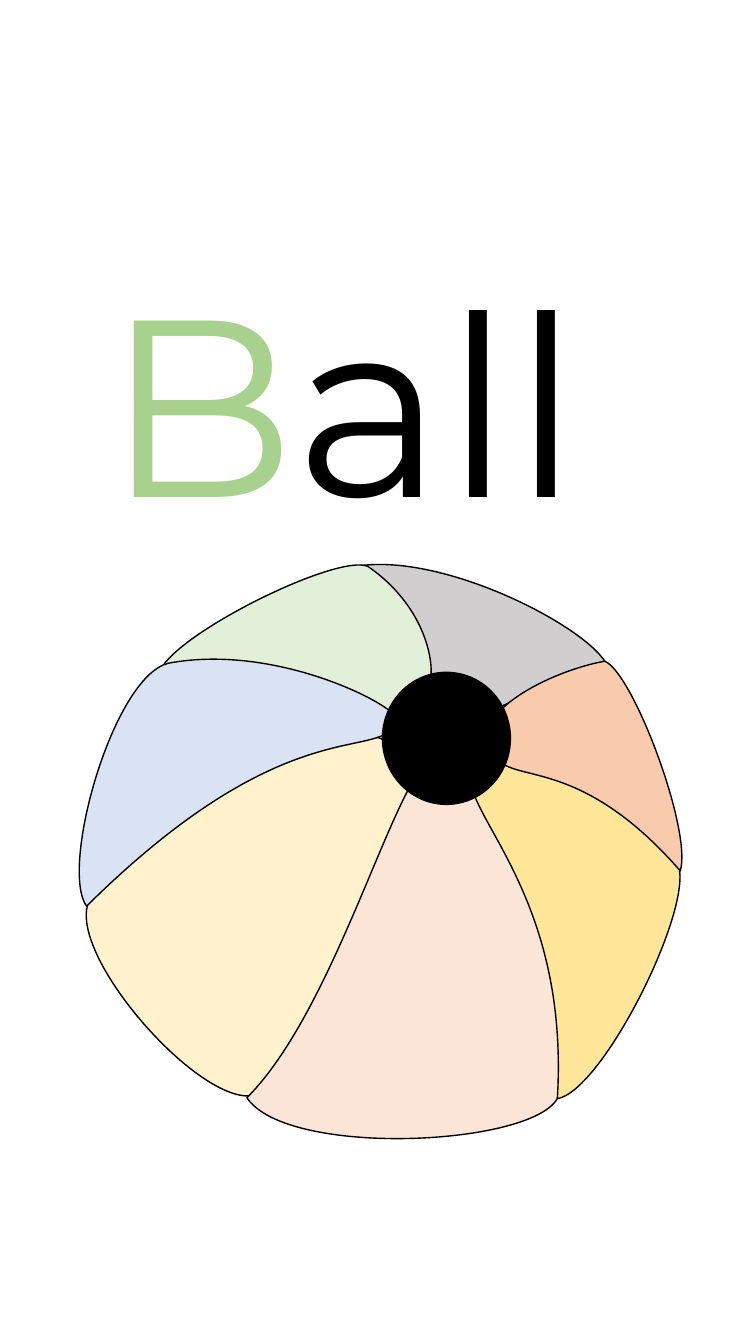
from dataclasses import dataclass

from lxml.etree import SubElement
from pptx import Presentation
from pptx.dml.color import RGBColor
from pptx.enum.shapes import MSO_SHAPE
from pptx.enum.text import MSO_ANCHOR, MSO_AUTO_SIZE, PP_ALIGN
from pptx.oxml.ns import qn
from pptx.util import Cm, Pt


@dataclass(frozen=True)
class Theme:
    font: str = "Montserrat"
    word_size: int = 180
    initial: str = "A9D18E"
    ink: str = "000000"
    outline: float = 1
    gray: str = "D0CECE"
    cream: str = "FFF2CC"
    pink: str = "FBE5D6"
    yellow: str = "FFE699"
    orange: str = "F8CBAD"
    green: str = "E2F0D9"
    blue: str = "DAE3F3"


THEME = Theme()
BALL_UNITS = 600  # the ball's box is this many units wide
CURVE_STEPS = 32  # samples per curve when measuring a panel

# Panels from back to front: fill, start point, then the cubic curves
# (two control points and an end point each), in ball units
PANELS = [
    (THEME.gray, (523, 101), [
        [(506, 63), (359, -13), (273, 2)],
        [(354, 51), (329, 145), (377, 128)],
        [(417, 171), (425, 114), (523, 101)]]),
    (THEME.cream, (8, 335), [
        [(-14, 390), (128, 548), (177, 525)],
        [(219, 482), (387, 200), (308, 194)],
        [(320, 109), (29, 279), (8, 335)]]),
    (THEME.pink, (165, 529), [
        [(205, 589), (452, 577), (474, 528)],
        [(506, 426), (410, 177), (365, 201)],
        [(329, 134), (268, 426), (165, 529)]]),
    (THEME.yellow, (473, 530), [
        [(518, 522), (608, 342), (593, 298)],
        [(536, 234), (408, 157), (398, 193)],
        [(348, 229), (487, 301), (473, 530)]]),
    (THEME.orange, (595, 304), [
        [(607, 264), (548, 107), (520, 96)],
        [(465, 106), (393, 146), (408, 173)],
        [(409, 231), (479, 171), (595, 304)]]),
    (THEME.green, (79, 105), [
        [(97, 67), (255, -11), (285, 2)],
        [(354, 49), (361, 131), (331, 140)],
        [(289, 181), (274, 72), (79, 105)]]),
    (THEME.blue, (6, 339), [
        [(-21, 301), (32, 112), (87, 98)],
        [(198, 77), (320, 144), (313, 154)],
        [(301, 199), (211, 136), (6, 339)]]),
]
HUB = (299.5, 107, 127, 131)  # left, top, width, height in ball units


def add_text(p, text, size, color, font=THEME.font):
    r = p.add_run()
    r.text = text
    r.font.name = font
    r.font.size = Pt(size)
    r.font.color.rgb = RGBColor.from_string(color)
    return r


def style_shape(sp, fill):
    sp.shadow.inherit = False
    sp.fill.solid()
    sp.fill.fore_color.rgb = RGBColor.from_string(fill)
    sp.line.color.rgb = RGBColor.from_string(THEME.ink)
    sp.line.width = Pt(THEME.outline)


def curve_bounds(start, curves):
    """Top left and bottom right corner of the box around the curves."""
    points = []
    for curve in curves:
        for step in range(CURVE_STEPS + 1):
            t = step / CURVE_STEPS
            weights = ((1 - t) ** 3, 3 * t * (1 - t) ** 2, 3 * t ** 2 * (1 - t), t ** 3)
            points.append([sum(w * v for w, v in zip(weights, values))
                           for values in zip(start, *curve)])
        start = curve[-1]
    xs, ys = zip(*points)
    return (round(min(xs)), round(min(ys))), (round(max(xs)), round(max(ys)))


def add_curved_shape(shapes, start, curves, left, top, unit):
    """A freeform of true cubic curves, sized to its visible outline."""
    corner, far_corner = curve_bounds(start, curves)
    outline = shapes.build_freeform(*corner, scale=unit)
    outline.add_line_segments([far_corner], close=False)
    sp = outline.convert_to_shape(left, top)

    # Replace the diagonal by the curves
    path_xml = next(sp.element.iter(qn("a:path")))
    for child in list(path_xml):
        path_xml.remove(child)
    segments = [("a:moveTo", [start])] + [("a:cubicBezTo", curve) for curve in curves]
    for tag, points in segments:
        segment = SubElement(path_xml, qn(tag))
        for x, y in points:
            SubElement(segment, qn("a:pt"), x=str(x - corner[0]), y=str(y - corner[1]))
    SubElement(path_xml, qn("a:close"))
    return sp


def add_word(s, left, top, width, height):
    """The word in the title, with a coloured initial."""
    title = s.shapes.title
    title.left, title.top, title.width, title.height = left, top, width, height
    tf = title.text_frame
    tf.word_wrap = True
    tf.auto_size = MSO_AUTO_SIZE.SHAPE_TO_FIT_TEXT
    tf.vertical_anchor = MSO_ANCHOR.TOP
    p = tf.paragraphs[0]
    p.alignment = PP_ALIGN.LEFT
    add_text(p, "B", size=THEME.word_size, color=THEME.initial)
    add_text(p, "all", size=THEME.word_size, color=THEME.ink)


def add_ball(s, left, top, width):
    """The beach ball: seven curved panels around a black hub."""
    unit = width / BALL_UNITS
    ball = s.shapes.add_group_shape()

    # Panels
    for fill, start, curves in PANELS:
        panel = add_curved_shape(ball.shapes, start, curves, left, top, unit)
        style_shape(panel, fill)

    # Hub
    x, y, w, h = (round(value * unit) for value in HUB)
    hub = ball.shapes.add_shape(MSO_SHAPE.OVAL, left + x, top + y, w, h)
    style_shape(hub, THEME.ink)


def main():
    prs = Presentation()
    prs.slide_width, prs.slide_height = Cm(19.05), Cm(33.86)
    s = prs.slides.add_slide(prs.slide_layouts[5])
    add_word(s, Cm(2.41), Cm(6.05), Cm(13.97), Cm(7.95))
    add_ball(s, Cm(2.03), Cm(14.22), Cm(15.24))
    prs.save("out.pptx")


if __name__ == "__main__":
    main()
